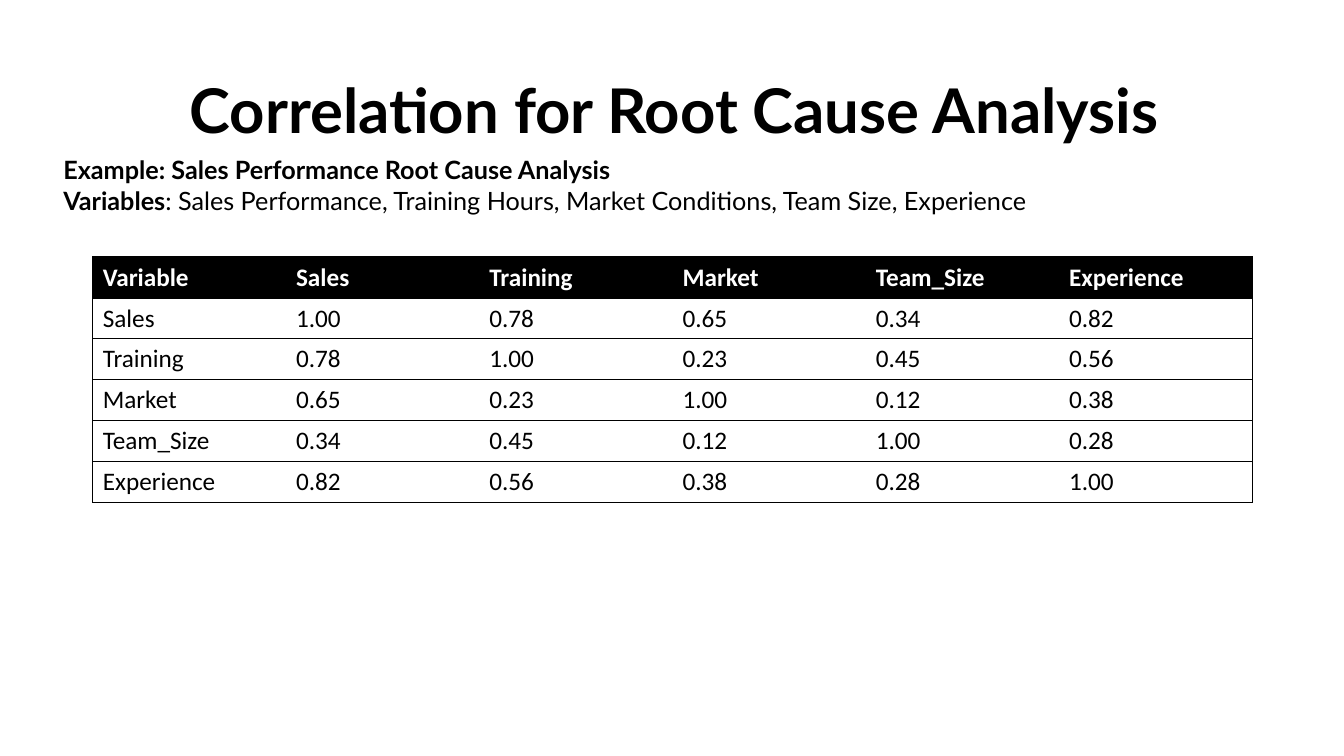
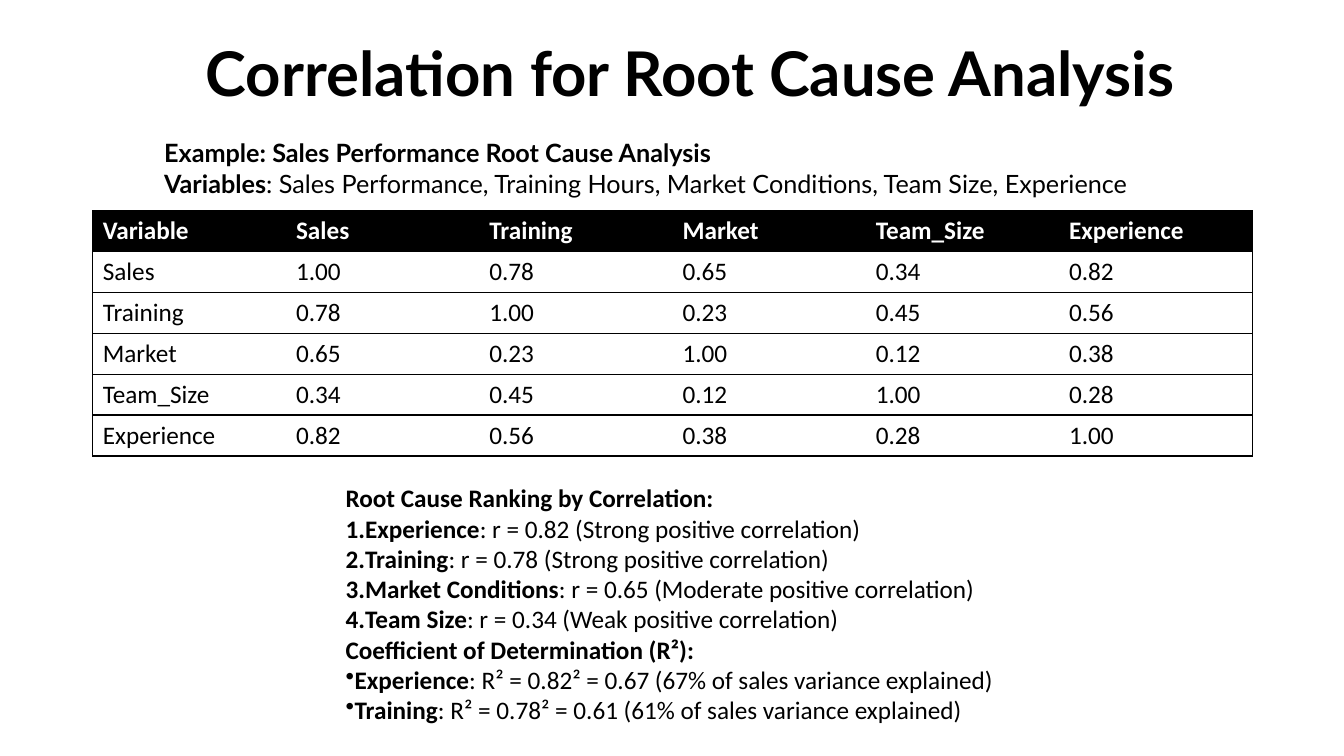
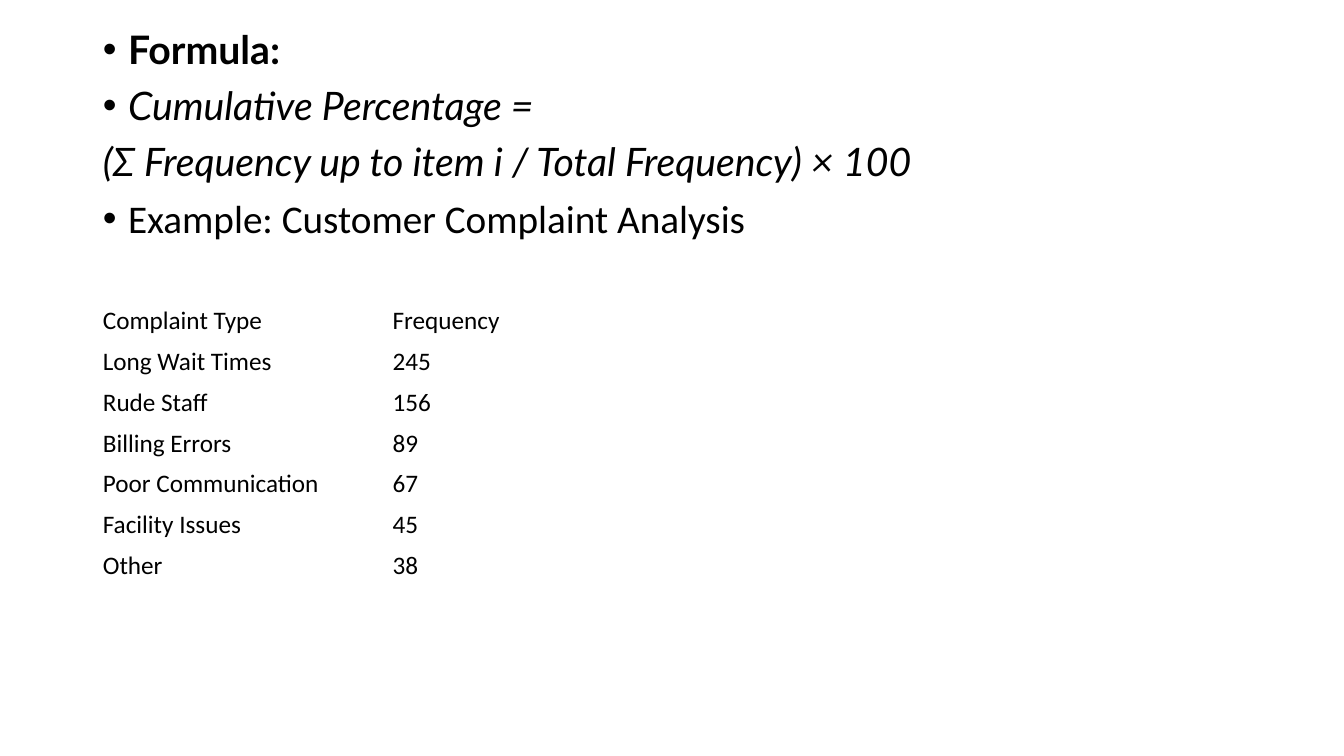
from lxml.etree import SubElement
from pptx import Presentation
from pptx.dml.color import RGBColor
from pptx.enum.text import MSO_ANCHOR, MSO_AUTO_SIZE, PP_ALIGN
from pptx.oxml.ns import qn
from pptx.util import Inches, Pt

BLACK, WHITE = "000000", "FFFFFF"
HEADING_FONT, TEXT_FONT = "Lato", "Calibri"
PLAIN_TABLE_STYLE = "{2D5ABB26-0587-4C30-8999-92F81FD0307C}"
NUMBER = ("a:buAutoNum", {"type": "arabicPeriod"})
DOT = ("a:buChar", {"char": "•"})
NO_BULLET = ("a:buNone", {})

TITLE = "Correlation for Root Cause Analysis"
EXAMPLE = [
    ("Example: Sales Performance Root Cause Analysis", "", NO_BULLET),
    ("Variables", ": Sales Performance, Training Hours, Market Conditions, Team Size, Experience", NO_BULLET),
]
CORRELATIONS = [
    ("Variable", "Sales", "Training", "Market", "Team_Size", "Experience"),
    ("Sales", "1.00", "0.78", "0.65", "0.34", "0.82"),
    ("Training", "0.78", "1.00", "0.23", "0.45", "0.56"),
    ("Market", "0.65", "0.23", "1.00", "0.12", "0.38"),
    ("Team_Size", "0.34", "0.45", "0.12", "1.00", "0.28"),
    ("Experience", "0.82", "0.56", "0.38", "0.28", "1.00"),
]
RANKING = [
    ("Root Cause Ranking by Correlation:", "", NO_BULLET),
    ("Experience", ": r = 0.82 (Strong positive correlation)", NUMBER),
    ("Training", ": r = 0.78 (Strong positive correlation)", NUMBER),
    ("Market Conditions", ": r = 0.65 (Moderate positive correlation)", NUMBER),
    ("Team Size", ": r = 0.34 (Weak positive correlation)", NUMBER),
    ("Coefficient of Determination (R²):", "", NO_BULLET),
    ("Experience", ": R² = 0.82² = 0.67 (67% of sales variance explained)", DOT),
    ("Training", ": R² = 0.78² = 0.61 (61% of sales variance explained)", DOT),
]
FORMULA = [
    ("Formula:", DOT, {"bold": True}),
    ("Cumulative Percentage =", DOT, {"italic": True}),
    ("(Σ Frequency up to item i / Total Frequency) × 100", NO_BULLET, {"italic": True}),
    ("Example: Customer Complaint Analysis", DOT, {"font": TEXT_FONT}),
]
COMPLAINTS = [
    ("Complaint Type", "Frequency"),
    ("Long Wait Times", "245"),
    ("Rude Staff", "156"),
    ("Billing Errors", "89"),
    ("Poor Communication", "67"),
    ("Facility Issues", "45"),
    ("Other", "38"),
]


def rgb(value):
    """Turn a hex string into a colour."""
    return RGBColor.from_string(value)


def add_text(paragraph, text, font=HEADING_FONT, size=18, color=BLACK, bold=False, italic=False):
    """Add one formatted run to a paragraph."""
    run = paragraph.add_run()
    run.text = text
    run.font.name = font
    run.font.size = Pt(size)
    run.font.bold = bold
    run.font.italic = italic
    run.font.color.rgb = rgb(color)


def set_bullet(paragraph, bullet, indent=0):
    """Set the bullet and hanging indent of a paragraph."""
    properties = paragraph._p.get_or_add_pPr()
    properties.set("marL", str(Inches(indent)))
    properties.set("indent", str(-Inches(indent)))
    tag, attributes = bullet
    SubElement(properties, qn(tag), attributes)


def set_borders(cell, sides):
    """Draw thin black lines on the given sides of a cell."""
    properties = cell._tc.get_or_add_tcPr()
    for side in sides:
        line = SubElement(properties, qn(f"a:ln{side}"), {"w": str(Pt(1))})
        fill = SubElement(line, qn("a:solidFill"))
        SubElement(fill, qn("a:srgbClr"), {"val": BLACK})


def paragraphs_of(frame, count):
    """Yield the first paragraph of a frame and then new ones."""
    for index in range(count):
        yield frame.add_paragraph() if index else frame.paragraphs[0]


def place(shape, left, top, width, height):
    """Move and size a shape in inches."""
    shape.left, shape.top = Inches(left), Inches(top)
    shape.width, shape.height = Inches(width), Inches(height)


class Deck:
    """Hold the presentation, its style and the current slide."""

    def __init__(self):
        """Start an empty widescreen presentation."""
        self.presentation = Presentation()
        self.presentation.slide_width = Inches(13.33)
        self.presentation.slide_height = Inches(7.5)
        self.slide = None

    def new_slide(self, layout_name):
        """Add a slide with the named layout."""
        layout = self.presentation.slide_layouts.get_by_name(layout_name)
        self.slide = self.presentation.slides.add_slide(layout)

    def title(self, text, left, top):
        """Fill the title placeholder."""
        shape = self.slide.shapes.title
        place(shape, left, top, 12.32, 1.45)
        frame = shape.text_frame
        frame.auto_size = MSO_AUTO_SIZE.NONE
        frame.vertical_anchor = MSO_ANCHOR.MIDDLE
        paragraph = frame.paragraphs[0]
        paragraph.alignment = PP_ALIGN.CENTER
        paragraph.line_spacing = 0.9
        add_text(paragraph, text, size=44, bold=True)

    def body(self, items, left, top, width, height):
        """Fill the body placeholder and drop the unused title."""
        title = self.slide.shapes.title
        title._element.getparent().remove(title._element)
        shape = self.slide.placeholders[1]
        place(shape, left, top, width, height)
        frame = shape.text_frame
        frame.auto_size = MSO_AUTO_SIZE.NONE
        for index, (paragraph, item) in enumerate(zip(paragraphs_of(frame, len(items)), items)):
            text, bullet, style = item
            set_bullet(paragraph, bullet, 0 if bullet is NO_BULLET else 0.25)
            paragraph.line_spacing = 0.9
            paragraph.space_before = Pt(10 if index else 0)
            add_text(paragraph, text, size=28, **style)

    def labelled_lines(self, lines, left, top, width, height, font=HEADING_FONT, anchor=MSO_ANCHOR.TOP):
        """Add a text box of lines that open with a bold label."""
        box = self.slide.shapes.add_textbox(Inches(left), Inches(top), Inches(width), Inches(height))
        frame = box.text_frame
        frame.word_wrap = True
        frame.vertical_anchor = anchor
        for paragraph, (label, detail, bullet) in zip(paragraphs_of(frame, len(lines)), lines):
            set_bullet(paragraph, bullet)
            add_text(paragraph, label, font=font, bold=True)
            if detail:
                add_text(paragraph, detail, font=font)

    def table(self, rows, left, top, width, ruled=False):
        """Add a table, plain or with a black header and row rules."""
        row_count, column_count = len(rows), len(rows[0])
        row_height = 0.4
        frame = self.slide.shapes.add_table(
            row_count, column_count, Inches(left), Inches(top), Inches(width), Inches(row_height * row_count))
        table = frame.table
        table.first_row = ruled
        table.horz_banding = False
        table._tbl.tblPr.find(qn("a:tableStyleId")).text = PLAIN_TABLE_STYLE
        for row_index, row in enumerate(rows):
            header = ruled and row_index == 0
            for column_index, text in enumerate(row):
                cell = table.cell(row_index, column_index)
                cell.vertical_anchor = MSO_ANCHOR.MIDDLE
                if ruled:
                    left_side = "L" if column_index == 0 else ""
                    right_side = "R" if column_index == column_count - 1 else ""
                    set_borders(cell, left_side + right_side + "TB")
                    cell.fill.solid()
                    cell.fill.fore_color.rgb = rgb(BLACK if header else WHITE)
                else:
                    cell.fill.background()
                add_text(cell.text_frame.paragraphs[0], text, font=TEXT_FONT,
                         color=WHITE if header else BLACK, bold=header)

    def correlation_slide(self, title_at, table_top, example_at):
        """Add a slide with the title, the example and the correlation table."""
        self.new_slide("Title Only")
        self.title(TITLE, *title_at)
        self.table(CORRELATIONS, 0.92, table_top, 11.5, ruled=True)
        self.labelled_lines(EXAMPLE, *example_at, 10.27, 0.71, anchor=MSO_ANCHOR.MIDDLE)


def main():
    """Build and save the three slides."""
    deck = Deck()
    deck.correlation_slide((0.53, 0.4), 2.55, (0.53, 1.48))

    deck.correlation_slide((0.69, 0.03), 2.09, (1.53, 1.31))
    deck.labelled_lines(RANKING, 3.33, 4.74, 6.67, 2.52, font=TEXT_FONT)

    deck.new_slide("Title and Content")
    deck.body(FORMULA, 0.92, 0.25, 11.5, 4.76)
    deck.table(COMPLAINTS, 0.92, 2.98, 5.75)

    deck.presentation.save("out.pptx")


if __name__ == "__main__":
    main()
